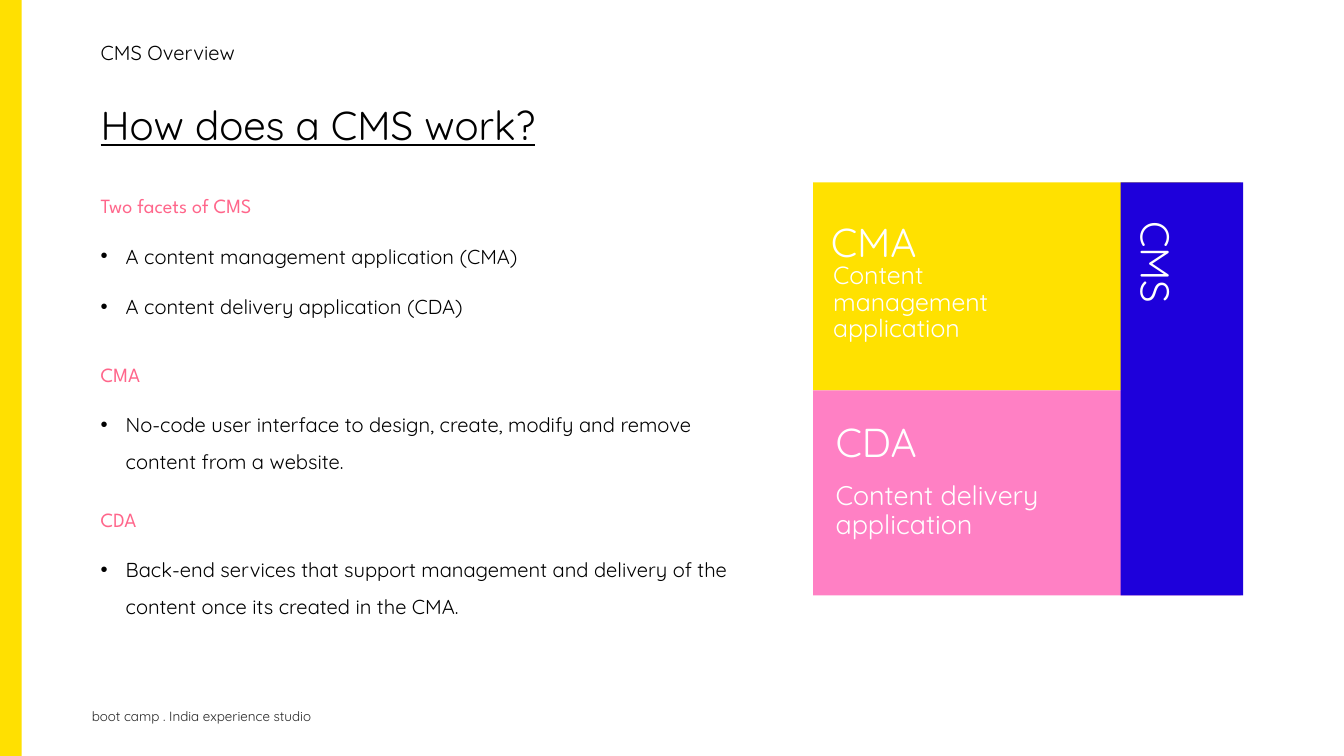
from dataclasses import dataclass

from lxml.etree import SubElement as Sub
from pptx import Presentation
from pptx.dml.color import RGBColor as RGB
from pptx.enum.shapes import MSO_SHAPE as Form
from pptx.enum.text import MSO_ANCHOR as Anchor
from pptx.oxml.ns import qn
from pptx.util import Inches, Pt


@dataclass(frozen=True)
class Theme:
    body_font: str = "Quicksand"
    head_font: str = "League Spartan"
    black: str = "000000"
    white: str = "FFFFFF"
    gray: str = "262626"
    rose: str = "FF668B"
    edge: str = "FFE001"
    yellow: str = "FFE100"
    pink: str = "FF80C4"
    blue: str = "1E00DB"
    big: float = 36
    large: float = 24
    mid: float = 22.2
    base: float = 18
    small: float = 12


def write(para, text, size, color, font, under=False, line=0.9, before=0, bullet=False):
    """Fill one paragraph with formatted text."""
    if bullet:
        props = para._p.get_or_add_pPr()
        props.set("marL", str(Inches(0.31)))
        props.set("indent", str(-Inches(0.31)))
        Sub(props, qn("a:buFont"), typeface="Arial")
        Sub(props, qn("a:buChar"), char="•")
    para.line_spacing = line
    para.space_before = Pt(before)
    run = para.add_run()
    run.text = text
    run.font.size = Pt(size)
    run.font.name = font
    run.font.color.rgb = RGB.from_string(color)
    if under:
        run.font.underline = True


class Deck:
    def __init__(self, theme, width, height):
        self.theme = theme
        self.show = Presentation()
        self.show.slide_width = Inches(width)
        self.show.slide_height = Inches(height)
        self.slide = self.show.slides.add_slide(self.show.slide_layouts[6])

    def block(self, left, top, width, height, color):
        area = map(Inches, (left, top, width, height))
        shape = self.slide.shapes.add_shape(Form.RECTANGLE, *area)
        shape.shadow.inherit = False
        shape.fill.solid()
        shape.fill.fore_color.rgb = RGB.from_string(color)
        shape.line.fill.background()

    def frame(self, left, top, width, height, anchor=Anchor.TOP, turn=0):
        area = map(Inches, (left, top, width, height))
        box = self.slide.shapes.add_textbox(*area)
        box.rotation = turn
        box.text_frame.word_wrap = True
        box.text_frame.vertical_anchor = anchor
        return box.text_frame

    def label(self, text, area, size, color, anchor=Anchor.MIDDLE, turn=0, **style):
        frame = self.frame(*area, anchor, turn)
        write(frame.paragraphs[0], text, size, color, self.theme.body_font, **style)

    def topic(self, head, items, area):
        look = self.theme
        frame = self.frame(*area)
        write(frame.paragraphs[0], head, look.base, look.rose, look.head_font)
        for item in items:
            write(frame.add_paragraph(), item, look.base, look.black, look.body_font,
                  line=1.5, before=12.5, bullet=True)


def main():
    look = Theme()
    deck = Deck(look, 16.66, 9.37)

    # Side band and footer
    deck.block(0, 0, 0.27, 9.37, look.edge)
    deck.label("boot camp . India experience studio", (1.04, 8.73, 8.34, 0.3),
               look.small, look.gray, Anchor.TOP, line=1.0)

    # Title and section name
    left = 1.15
    deck.label("How does a CMS work?", (left, 1.03, 14.37, 1.1),
               look.big, look.black, under=True)
    deck.label("CMS Overview", (left, 0.48, 6.28, 0.32),
               look.base, look.black, Anchor.TOP)

    # Topics with bullets
    deck.topic("Two facets of CMS",
               ["A content management application (CMA)",
                "A content delivery application (CDA)"],
               (left, 2.38, 8.04, 2.2))
    deck.topic("CMA",
               ["No-code user interface to design, create, modify and remove "
                "content from a website."],
               (left, 4.47, 7.78, 1.55))
    deck.topic("CDA",
               ["Back-end services that support management and delivery of the "
                "content once its created in the CMA."],
               (left, 6.27, 8.04, 1.55))

    # Diagram blocks
    deck.block(10.08, 2.26, 5.3, 2.58, look.yellow)
    deck.block(10.08, 4.84, 5.3, 2.54, look.pink)
    deck.block(13.89, 2.26, 1.52, 5.12, look.blue)

    # Diagram labels
    wide, high = 3.24, 0.77
    for text, x, y, size, turn in (
        ("CMA", 10.2, 2.65, look.big, 0),
        ("CDA", 10.26, 5.12, look.big, 0),
        ("CMS", 12.68, 3.88, look.big, 90),
        ("Content management application", 10.23, 3.37, look.mid, 0),
        ("Content delivery application", 10.26, 5.95, look.large, 0),
    ):
        deck.label(text, (x, y, wide, high), size, look.white, turn=turn)

    deck.show.save("out.pptx")


if __name__ == "__main__":
    main()
